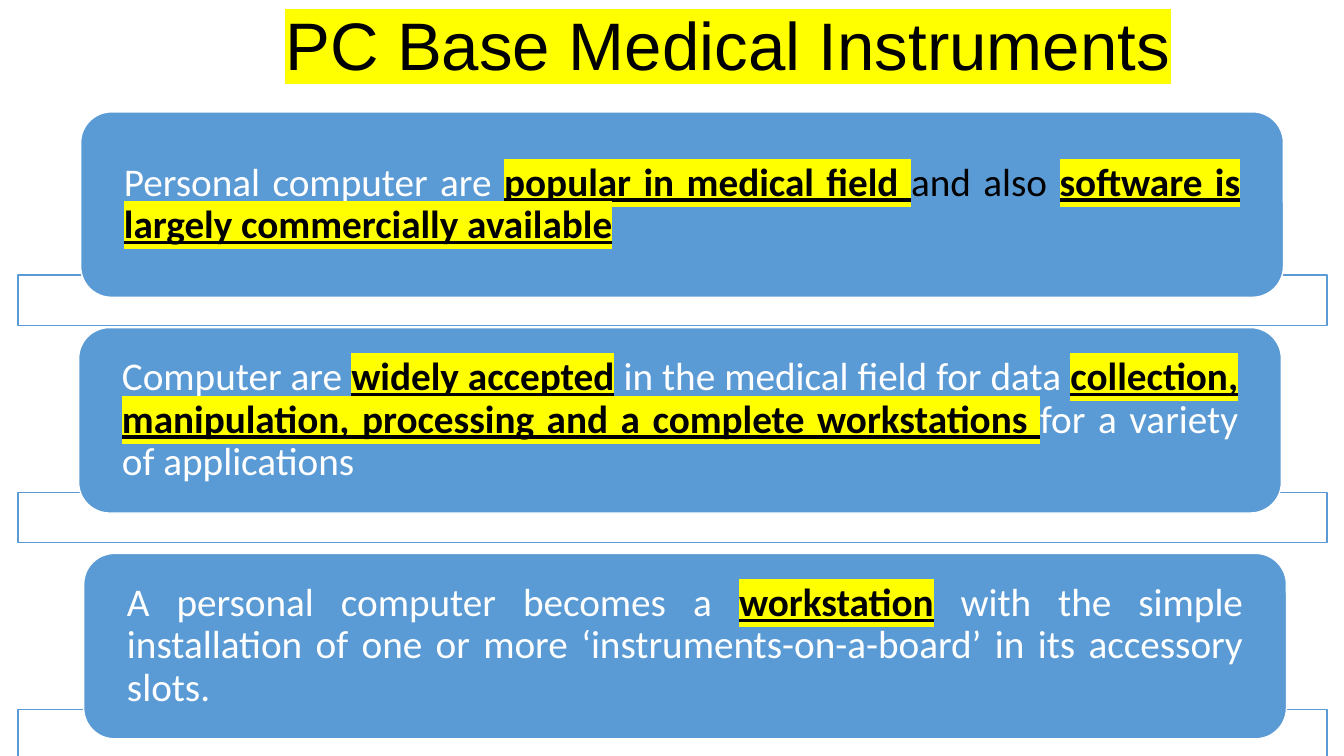
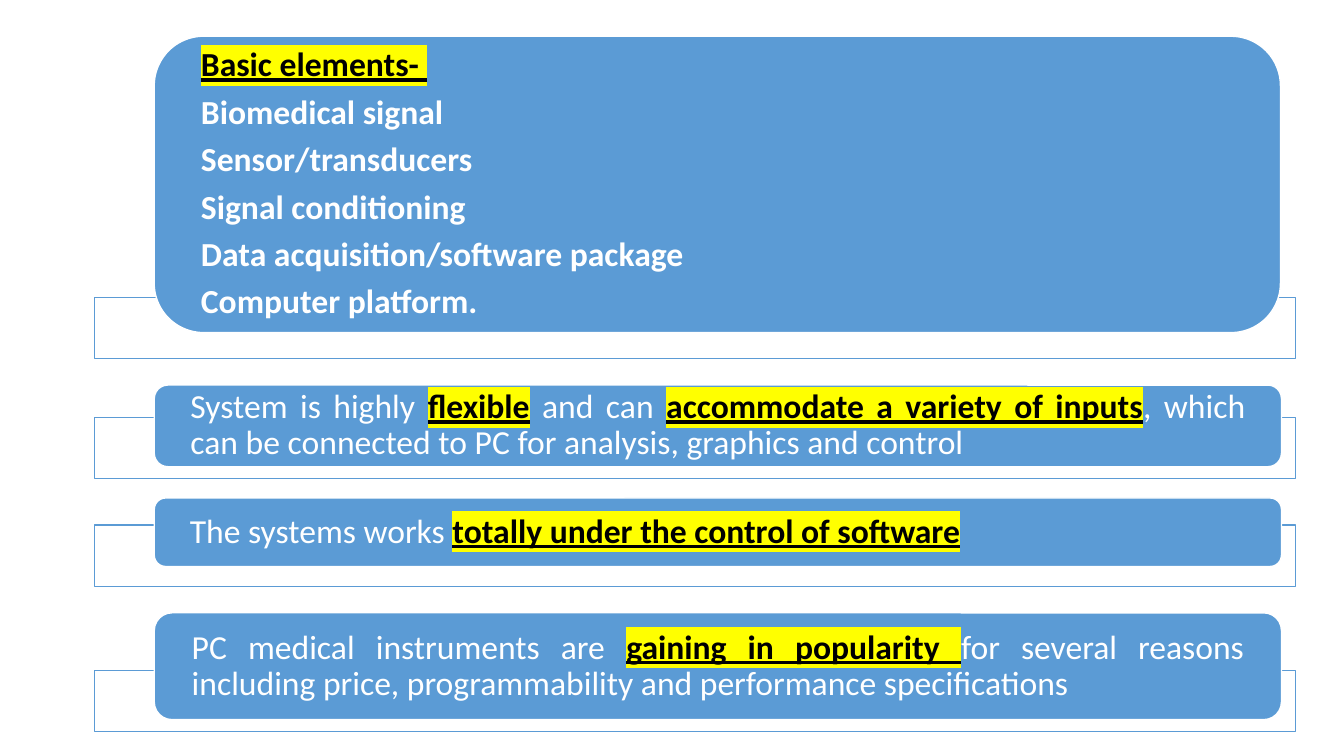
from lxml import etree
from pptx import Presentation
from pptx.dml.color import RGBColor
from pptx.enum.shapes import MSO_SHAPE
from pptx.enum.text import MSO_ANCHOR, PP_ALIGN
from pptx.oxml.ns import qn
from pptx.util import Inches, Pt

RECTANGLE, ROUNDED = MSO_SHAPE.RECTANGLE, MSO_SHAPE.ROUNDED_RECTANGLE
TOP, MIDDLE = MSO_ANCHOR.TOP, MSO_ANCHOR.MIDDLE
CENTER, JUSTIFY = PP_ALIGN.CENTER, PP_ALIGN.JUSTIFY
TITLE_ONLY, BLANK = 5, 6

THEME = {
    "white": "FFFFFF", "black": "000000", "blue": "5B9BD5", "yellow": "FFFF00",
    "title_font": "Arial", "body_font": "Calibri",
    "title_size": 48, "line_width": 1, "line_spacing": 0.9, "space_share": 0.33,
}
STYLES = {
    "plain": {"color": THEME["white"]},
    "dark": {"color": THEME["black"]},
    "strong": {"color": THEME["white"], "bold": True},
    "key": {"color": THEME["black"], "bold": True, "underline": True,
            "highlight": THEME["yellow"]},
}

SLIDES = [
    {
        "title": "PC Base Medical Instruments",
        "title_area": (1.11, 0.07, 12.22, 2.52),
        "size": 28, "inset": 0.34,
        "frame": {"left": 0.18, "width": 12.98, "height": 0.5},
        "frame_tops": [2.73 + 2.155 * row for row in range(3)],
        "cards": [
            {"area": (0.8, 1.11, 11.93, 1.84), "paragraphs": [[
                ("Personal computer are ", "plain"),
                ("popular in medical field ", "key"),
                ("and also ", "dark"),
                ("software is largely commercially available", "key")]]},
            {"area": (0.78, 3.25, 11.93, 1.84), "paragraphs": [[
                ("Computer are ", "plain"),
                ("widely accepted", "key"),
                (" in the medical field for data ", "plain"),
                ("collection, manipulation, processing and a complete workstations ", "key"),
                ("for a variety of applications", "plain")]]},
            {"area": (0.83, 5.49, 11.93, 1.84), "paragraphs": [[
                ("A personal computer becomes a ", "plain"),
                ("workstation", "key"),
                (" with the simple installation of one or more ‘instruments-on-a-board’ "
                 "in its accessory slots.", "plain")]]},
        ],
    },
    {
        "title": None,
        "size": 24, "inset": 0.32,
        "frame": {"left": 0.94, "width": 11.91, "height": 0.61},
        "frame_tops": [2.95, 4.14, 5.21, 6.65],
        "cards": [
            {"area": (1.53, 0.36, 11.17, 2.94), "paragraphs": [
                [("Basic elements- ", "key")],
                [("Biomedical signal", "strong")],
                [("Sensor/transducers", "strong")],
                [("Signal conditioning", "strong")],
                [("Data acquisition/software package", "strong")],
                [("Computer platform.", "strong")]]},
            {"area": (1.53, 3.82, 11.18, 0.81), "paragraphs": [[
                ("System is highly ", "plain"),
                ("flexible", "key"),
                (" and can ", "plain"),
                ("accommodate a variety of inputs", "key"),
                (", which can be connected to PC for analysis, graphics and control", "plain")]]},
            {"area": (1.53, 4.94, 11.18, 0.68), "paragraphs": [[
                ("The systems works ", "plain"),
                ("totally under the control of software", "key")]]},
            {"area": (1.53, 6.08, 11.18, 1.06), "paragraphs": [[
                ("PC medical instruments are ", "plain"),
                ("gaining in popularity ", "key"),
                ("for several reasons including price, programmability and "
                 "performance specifications", "plain")]]},
        ],
    },
]


def add_span(para, text, *, font, size, color, bold=False, underline=False, highlight=None):
    span = para.add_run()
    span.text = text
    span.font.size = Pt(size)
    span.font.bold = bold
    span.font.underline = underline
    span.font.color.rgb = RGBColor.from_string(color)
    if highlight:
        mark = etree.SubElement(span.font._element, qn("a:highlight"))
        etree.SubElement(mark, qn("a:srgbClr")).set("val", highlight)
    span.font.name = font


def add_box(page, preset, area, fill, line):
    box = page.shapes.add_shape(preset, *map(Inches, area))
    box.shadow.inherit = False
    box.fill.solid()
    box.fill.fore_color.rgb = RGBColor.from_string(fill)
    box.line.color.rgb = RGBColor.from_string(line)
    box.line.width = Pt(THEME["line_width"])
    return box


def fill_card(card, paragraphs, size, inset):
    frame = card.text_frame
    frame.word_wrap = True
    frame.vertical_anchor = MIDDLE
    frame.margin_left = frame.margin_right = Inches(inset)
    frame.margin_top = frame.margin_bottom = 0
    for index, spans in enumerate(paragraphs):
        para = frame.add_paragraph() if index else frame.paragraphs[0]
        para.alignment = JUSTIFY
        para.line_spacing = THEME["line_spacing"]
        para.space_after = Pt(round(size * THEME["space_share"]))
        for text, style in spans:
            add_span(para, text, font=THEME["body_font"], size=size, **STYLES[style])


def set_title(page, text, area):
    title = page.shapes.title
    title.left, title.top, title.width, title.height = map(Inches, area)
    title.text_frame.word_wrap = True
    title.text_frame.vertical_anchor = TOP
    para = title.text_frame.paragraphs[0]
    para.alignment = CENTER
    para.line_spacing = THEME["line_spacing"]
    add_span(para, text, font=THEME["title_font"], size=THEME["title_size"],
             color=THEME["black"], highlight=THEME["yellow"])


def build_slide(deck, content):
    layout = TITLE_ONLY if content["title"] else BLANK
    page = deck.slides.add_slide(deck.slide_layouts[layout])
    if content["title"]:
        set_title(page, content["title"], content["title_area"])
    strip = content["frame"]
    for top, item in zip(content["frame_tops"], content["cards"]):
        add_box(page, RECTANGLE, (strip["left"], top, strip["width"], strip["height"]),
                THEME["white"], THEME["blue"])
        card = add_box(page, ROUNDED, item["area"], THEME["blue"], THEME["white"])
        fill_card(card, item["paragraphs"], content["size"], content["inset"])


def main():
    deck = Presentation()
    deck.slide_width, deck.slide_height = Inches(13.33), Inches(7.5)
    for content in SLIDES:
        build_slide(deck, content)
    deck.save("out.pptx")


if __name__ == "__main__":
    main()
